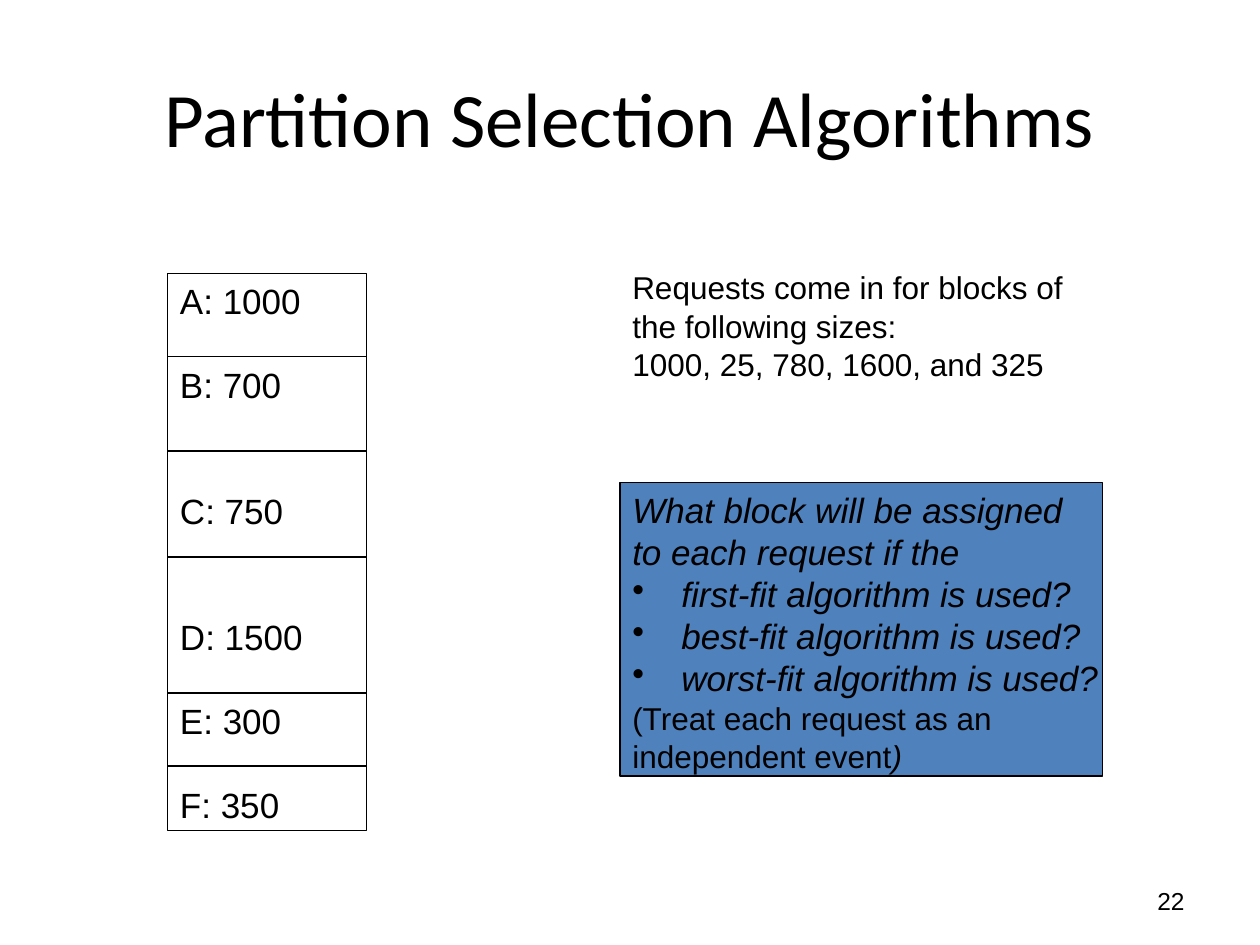
from lxml import etree
from pptx import Presentation
from pptx import util as u
from pptx.dml.color import RGBColor
from pptx.enum import shapes, text
from pptx.oxml.ns import qn

BLACK, BLUE = "000000", "4F81BD"
LEAD = {14: 17, 18: 21.75, 20: 24, 44: None}  # line pitch by text size


def paint(fmt, color):
    fmt.rgb = RGBColor.from_string(color)


def add_box(slide, box, fill=None):
    """Add an outlined rectangle; box is left, top, width, height in inches."""
    rect = slide.shapes.add_shape(shapes.MSO_SHAPE.RECTANGLE, *map(u.Inches, box))
    rect.shadow.inherit = False
    if fill:
        rect.fill.solid()
        paint(rect.fill.fore_color, fill)
    else:
        rect.fill.background()
    paint(rect.line.color, BLACK)
    rect.line.width = u.Pt(0.75)
    return rect


def add_label(slide, box):
    return slide.shapes.add_textbox(*map(u.Inches, box))


def write(shape, lines, size, font="Arial", align=text.PP_ALIGN.LEFT,
          anchor=text.MSO_ANCHOR.TOP):
    """Fill the shape with one paragraph per line and return the paragraphs."""
    frame = shape.text_frame
    frame.word_wrap = True
    frame.vertical_anchor = anchor
    frame.margin_right = u.Inches(0 if align == text.PP_ALIGN.LEFT else 0.1)
    frame.text = "\n".join(lines)
    for par in frame.paragraphs:
        par.alignment = align
        style(par, size, font)
    return frame.paragraphs


def style(par, size, font="Arial", italic=False):
    par.font.name, par.font.size, par.font.italic = font, u.Pt(size), italic
    paint(par.font.color, BLACK)
    if LEAD[size]:
        par.line_spacing = u.Pt(LEAD[size])


def add_bullet(par, indent):
    props = par._p.get_or_add_pPr()
    props.set("marL", str(u.Inches(indent)))
    props.set("indent", str(-u.Inches(indent)))
    mark = etree.Element(qn("a:buChar"), char="•")
    props.insert_element_before(mark, "a:tabLst", "a:defRPr", "a:extLst")


def add_title(slide, box):
    write(add_label(slide, box), ["Partition Selection Algorithms"], 44, "Calibri",
          text.PP_ALIGN.CENTER, text.MSO_ANCHOR.MIDDLE)


def add_number(slide, box):
    write(add_label(slide, box), ["22"], 14, align=text.PP_ALIGN.RIGHT,
          anchor=text.MSO_ANCHOR.MIDDLE)


def add_memory(slide, box):
    """Draw the memory column: names, blank lines above each, and dividers."""
    blocks = [("A: 1000", 0), ("B: 700", 1), ("C: 750", 2),
              ("D: 1500", 2), ("E: 300", 1), ("F: 350", 1)]
    pars = write(add_box(slide, box), [name for name, _ in blocks], 20)
    for par, (_, gap) in zip(pars, blocks):
        par.space_before = u.Pt(gap * LEAD[20])
    left, top, width, _ = box
    for drop in (0.66, 1.41, 2.25, 3.33, 3.91):
        y = u.Inches(top + drop)
        line = slide.shapes.add_connector(
            shapes.MSO_CONNECTOR.STRAIGHT, u.Inches(left), y, u.Inches(left + width), y)
        paint(line.line.color, BLACK)
        line.line.width = u.Pt(0.75)
        etree.SubElement(line._element.spPr, qn("a:effectLst"))


def add_requests(slide, box):
    write(add_label(slide, box), ["Requests come in for blocks of",
                                  "the following sizes:",
                                  "1000, 25, 780, 1600, and 325"], 18)


def add_question(slide, box):
    fits = [f"{fit}-fit algorithm is used?" for fit in ("first", "best", "worst")]
    pars = write(add_box(slide, box, BLUE),
                 ["What block will be assigned", "to each request if the", *fits,
                  "(Treat each request as an", "independent event"], 20)
    for par in pars[:5]:
        style(par, 20, italic=True)
    for par in pars[2:5]:
        add_bullet(par, 0.39)
    for par in pars[5:]:
        style(par, 18)
    close = pars[-1].add_run()
    close.text = ")"
    close.font.italic = True


def main():
    deck = Presentation()
    deck.slide_width, deck.slide_height = u.Inches(10), u.Inches(7.5)
    slide = deck.slides.add_slide(deck.slide_layouts[6])
    add_title(slide, (0.5, 0.3, 9, 1.25))
    add_number(slide, (7.17, 6.95, 2.33, 0.4))
    add_memory(slide, (1.33, 2.17, 1.58, 4.42))
    add_requests(slide, (4.92, 2.08, 3.67, 1.17))
    add_question(slide, (4.92, 3.83, 3.83, 2.33))
    deck.save("out.pptx")


if __name__ == "__main__":
    main()
